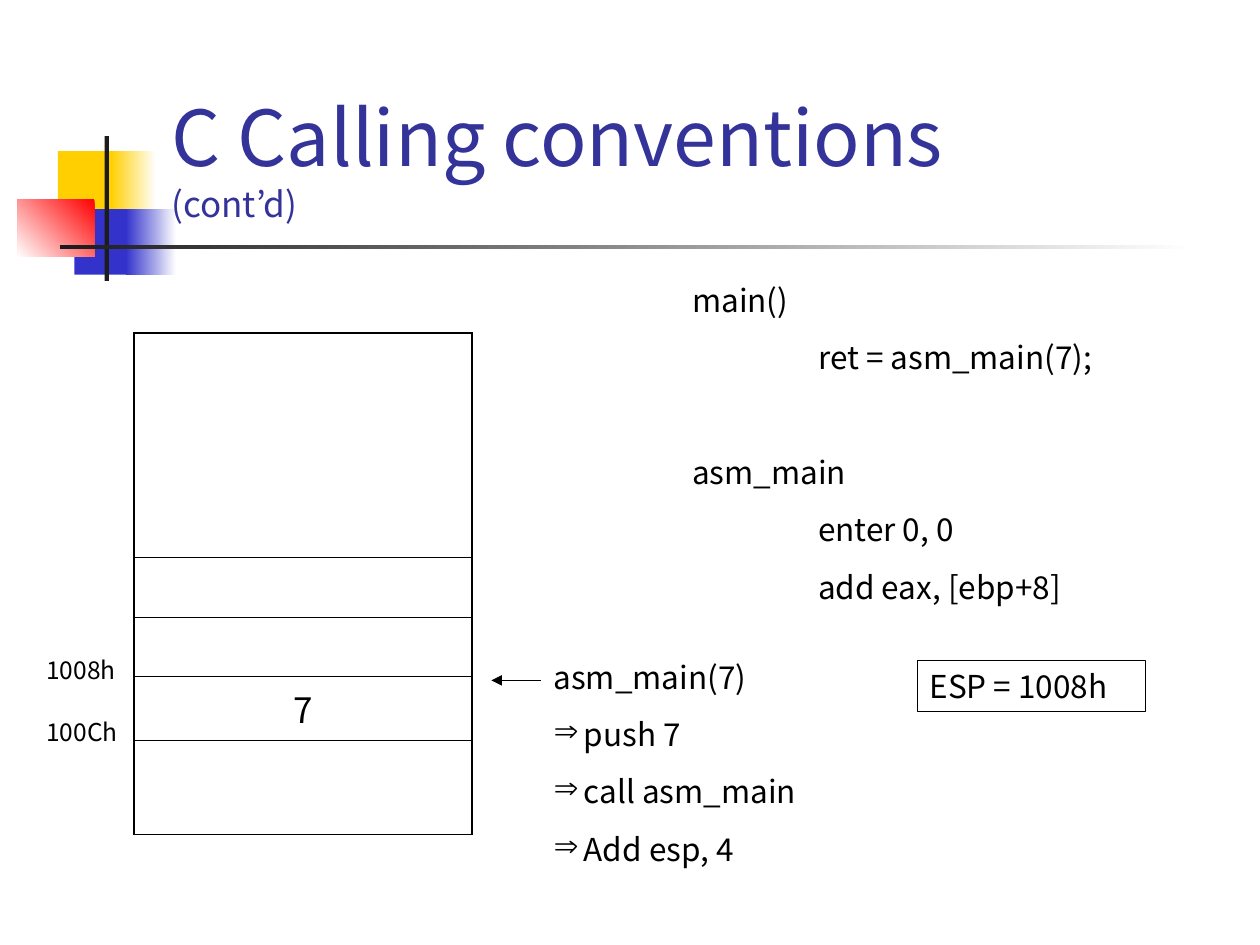
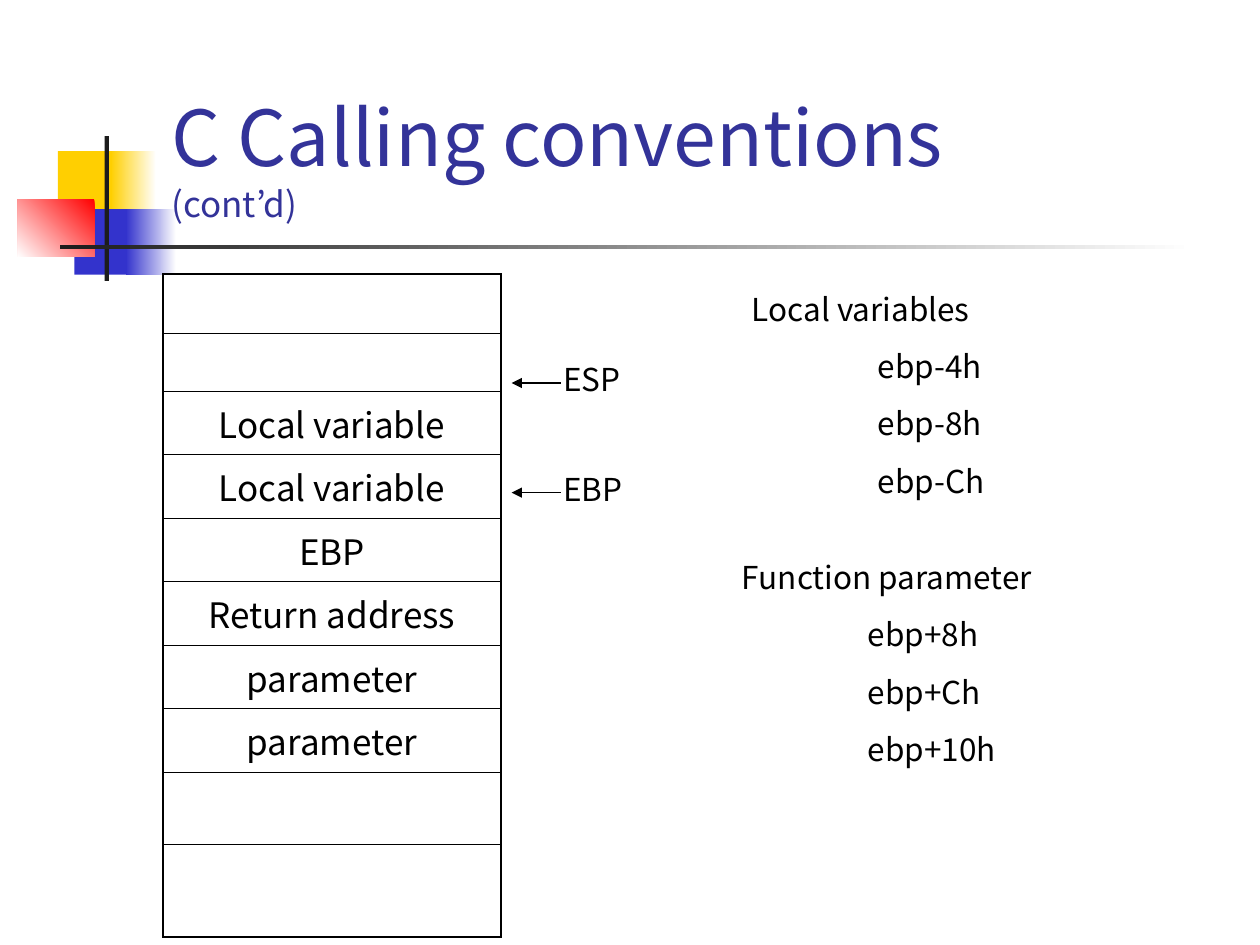
from typing import NamedTuple, Optional

from lxml.etree import SubElement
from pptx import Presentation
from pptx.dml.color import RGBColor
from pptx.enum.shapes import MSO_CONNECTOR, MSO_SHAPE
from pptx.enum.text import MSO_ANCHOR, MSO_AUTO_SIZE, PP_ALIGN
from pptx.oxml.ns import qn
from pptx.util import Emu, Inches, Pt

# Shared look; every length is in grid cells, 100 columns by 75 rows
SLIDE_WIDTH, SLIDE_HEIGHT = Inches(10), Inches(7.5)
COLUMN, ROW = SLIDE_WIDTH / 100, SLIDE_HEIGHT / 75
FONT = "Noto Sans CJK KR"
BLACK, WHITE, TITLE_BLUE = "000000", "FFFFFF", "333399"
YELLOW, BLUE, RED, DARK = "FFCF01", "3333CC", "FF0000", "1C1C1C"
BODY_SIZE, LABEL_SIZE, CELL_SIZE = 18, 14, 20
PARAGRAPH_GAP, BLANK_LINE_GAP = 11.2, 44
STACK_WIDTH, ARROW_LENGTH = 26.8, 3.9
OUTER_LINE, INNER_LINE = 1.08, 0.45


class Area(NamedTuple):
    left: float
    top: float
    width: float
    height: float

    def lengths(self) -> tuple:
        return (Emu(round(self.left * COLUMN)), Emu(round(self.top * ROW)),
                Emu(round(self.width * COLUMN)), Emu(round(self.height * ROW)))


class Band(NamedTuple):
    area: Area
    start: str
    end: Optional[str] = None
    angle: int = 180


class Line(NamedTuple):
    text: str
    indent: float = 0
    bullet: str = ""
    gap: float = PARAGRAPH_GAP


class Note(NamedTuple):
    area: Area
    lines: list
    size: int = BODY_SIZE
    boxed: bool = False


class StackRow(NamedTuple):
    height: float
    text: str = ""


BANDS = [
    Band(Area(4.6, 12, 4.8, 5.2), YELLOW),
    Band(Area(8.8, 12, 3.6, 5.2), WHITE, YELLOW),
    Band(Area(5.9, 16.6, 4.6, 5.2), BLUE),
    Band(Area(10, 16.6, 4, 5.2), WHITE, BLUE),
    Band(Area(1.4, 15.8, 6.1, 4.6), RED, WHITE, 225),
    Band(Area(8.3, 10.8, 0.35, 11.5), DARK),
    Band(Area(4.8, 19.45, 90, 0.35), WHITE, DARK),
]


def colour(code: str) -> RGBColor:
    return RGBColor.from_string(code)


def set_font(font, size: float, code: str = BLACK) -> None:
    font.name, font.size = FONT, Pt(size)
    font.color.rgb = colour(code)


def draw_bands(slide, layout) -> None:
    """Draw the decoration and hand it over to the layout."""
    for band in BANDS:
        shape = slide.shapes.add_shape(MSO_SHAPE.RECTANGLE, *band.area.lengths())
        shape.shadow.inherit = False
        shape.line.fill.background()
        if band.end:
            shape.fill.gradient()
            shape.fill.gradient_angle = band.angle
            for stop, code in zip(shape.fill.gradient_stops, (band.start, band.end)):
                stop.color.rgb = colour(code)
        else:
            shape.fill.solid()
            shape.fill.fore_color.rgb = colour(band.start)
        layout.shapes.element.append(shape.element)


def write_title(slide, heading: str, suffix: str) -> None:
    title = slide.shapes.title
    title.left, title.top, title.width, title.height = Area(12.6, 2.3, 85.2, 16).lengths()
    frame = title.text_frame
    frame.vertical_anchor, frame.auto_size = MSO_ANCHOR.BOTTOM, MSO_AUTO_SIZE.NONE
    paragraph = frame.paragraphs[0]
    paragraph.alignment = PP_ALIGN.LEFT
    run = paragraph.add_run()
    run.text = heading
    set_font(run.font, 44, TITLE_BLUE)
    paragraph.add_line_break()
    run = paragraph.add_run()
    run.text = suffix
    set_font(run.font, 20, TITLE_BLUE)


def write_lines(frame, lines: list, size: int) -> None:
    for index, line in enumerate(lines):
        paragraph = frame.add_paragraph() if index else frame.paragraphs[0]
        paragraph.text = line.text
        paragraph.alignment = PP_ALIGN.LEFT
        if index:
            paragraph.space_before = Pt(line.gap)
        properties = paragraph._p.get_or_add_pPr()
        indent = round(line.indent * COLUMN)
        properties.set("marL", str(indent))
        if line.bullet:
            properties.set("indent", str(-indent))
            SubElement(properties, qn("a:buChar")).set("char", line.bullet)
        set_font(paragraph.font, size)


def draw_note(slide, note: Note) -> None:
    if note.boxed:
        box = slide.shapes.add_shape(MSO_SHAPE.RECTANGLE, *note.area.lengths())
        box.shadow.inherit = False
        box.fill.background()
        box.line.color.rgb, box.line.width = colour(BLACK), Pt(0.75)
    else:
        box = slide.shapes.add_textbox(*note.area.lengths())
    box.text_frame.word_wrap = True
    box.text_frame.vertical_anchor = MSO_ANCHOR.TOP
    write_lines(box.text_frame, note.lines, note.size)


def draw_arrow(slide, left: float, top: float) -> None:
    """Draw an arrow that points left at the stack."""
    x, y, length, _ = Area(left, top, ARROW_LENGTH, 0).lengths()
    arrow = slide.shapes.add_connector(MSO_CONNECTOR.STRAIGHT, x, y, x + length, y)
    arrow.line.color.rgb, arrow.line.width = colour(BLACK), Pt(0.75)
    properties = arrow.element.spPr
    SubElement(properties.find(qn("a:ln")), qn("a:headEnd")).set("type", "triangle")
    SubElement(properties, qn("a:effectLst"))


def set_borders(cell, first: bool, last: bool) -> None:
    properties = cell._tc.get_or_add_tcPr()
    widths = {"L": OUTER_LINE, "R": OUTER_LINE,
              "T": OUTER_LINE if first else INNER_LINE,
              "B": OUTER_LINE if last else INNER_LINE}
    for side, width in widths.items():
        border = SubElement(properties, qn(f"a:ln{side}"), w=str(Pt(width)))
        fill = SubElement(border, qn("a:solidFill"))
        SubElement(fill, qn("a:srgbClr"), val=BLACK)


def draw_stack(slide, left: float, top: float, stack: list) -> None:
    area = Area(left, top, STACK_WIDTH, sum(row.height for row in stack))
    table = slide.shapes.add_table(len(stack), 1, *area.lengths()).table
    table.first_row = table.horz_banding = False
    for index, row in enumerate(stack):
        table.rows[index].height = Emu(round(row.height * ROW))
        cell = table.cell(index, 0)
        set_borders(cell, index == 0, index == len(stack) - 1)
        cell.fill.background()
        paragraph = cell.text_frame.paragraphs[0]
        paragraph.text = row.text
        paragraph.alignment = PP_ALIGN.CENTER
        set_font(paragraph.font, CELL_SIZE if row.text else LABEL_SIZE)


def indented(heading: str, *items: str) -> list:
    return [Line(heading), *(Line(item, 10) for item in items)]


def build_call_slide(slide) -> None:
    draw_stack(slide, 10.65, 26.45, [StackRow(17.8), StackRow(4.75), StackRow(4.7),
                                     StackRow(4.75, "7"), StackRow(7.5)])
    draw_arrow(slide, 39, 54)
    arrowed = [Line(step, 2.4, "⇒") for step in ("push 7", "call asm_main", "Add esp, 4")]
    code = [*indented("main()", "ret = asm_main(7);"),
            Line("asm_main", gap=BLANK_LINE_GAP),
            Line("enter 0, 0", 10), Line("add eax, [ebp+8]", 10)]
    for note in (
        Note(Area(53.95, 21.8, 42.5, 26.8), code),
        Note(Area(42.95, 51.7, 39.4, 17.7), [Line("asm_main(7)"), *arrowed]),
        Note(Area(2.7, 56.4, 9.4, 3.4), [Line("100Ch")], LABEL_SIZE),
        Note(Area(2.7, 51.5, 9.4, 3.4), [Line("1008h")], LABEL_SIZE),
        Note(Area(72.8, 52.45, 18.1, 4), [Line("ESP = 1008h")], boxed=True),
    ):
        draw_note(slide, note)


def build_frame_slide(slide) -> None:
    contents = ("Local variable", "Local variable", "EBP", "Return address",
                "parameter", "parameter")
    draw_stack(slide, 12.95, 21.75, [StackRow(4.7), StackRow(4.6),
                                     *(StackRow(5.04, text) for text in contents),
                                     StackRow(5.7), StackRow(7.4)])
    draw_note(slide, Note(Area(58.7, 22.5, 37, 17.7),
                          indented("Local variables", "ebp-4h", "ebp-8h", "ebp-Ch")))
    draw_note(slide, Note(Area(57.9, 43.8, 37, 17.7),
                          indented("Function parameter", "ebp+8h", "ebp+Ch", "ebp+10h")))
    # Stack registers
    for register, top in (("ESP", 30.4), ("EBP", 39.1)):
        draw_arrow(slide, 40.6, top)
        draw_note(slide, Note(Area(43.7, top - 2.3, 7.9, 4), [Line(register)]))


def main() -> None:
    deck = Presentation()
    deck.slide_width, deck.slide_height = SLIDE_WIDTH, SLIDE_HEIGHT
    layout = deck.slide_layouts[5]
    for number, build in enumerate((build_call_slide, build_frame_slide)):
        slide = deck.slides.add_slide(layout)
        if number == 0:
            draw_bands(slide, layout)
        write_title(slide, "C Calling conventions", "(cont’d)")
        build(slide)
    deck.save("out.pptx")


if __name__ == "__main__":
    main()
